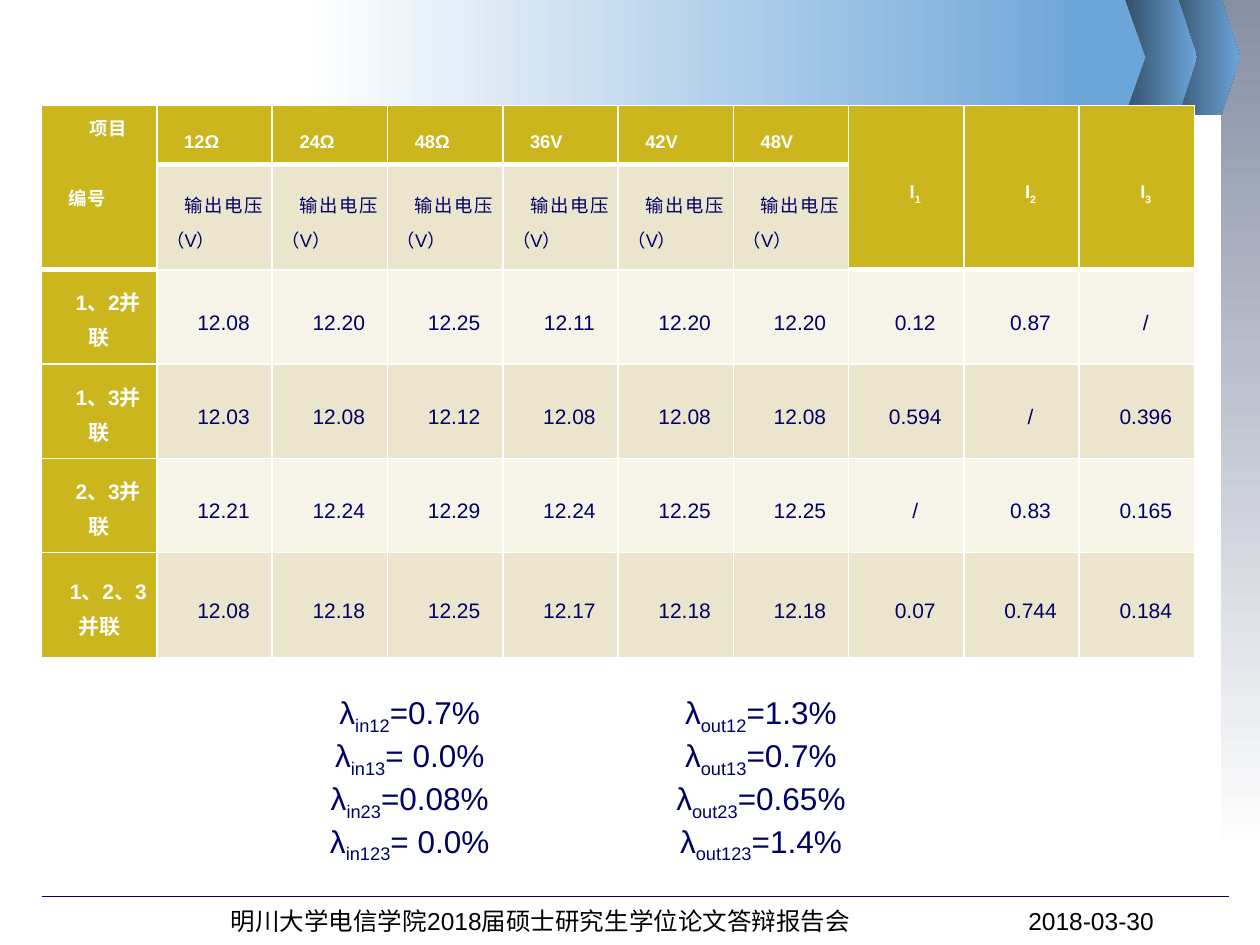
"""Build the slide with parallel supply test results."""
from lxml.etree import SubElement
from pptx import Presentation
from pptx.dml.color import RGBColor
from pptx.enum.shapes import MSO_CONNECTOR, MSO_SHAPE
from pptx.enum.text import MSO_ANCHOR, PP_ALIGN
from pptx.oxml.ns import qn
from pptx.util import Cm, Pt

HUES = {"navy": "000066", "black": "000000", "white": "FFFFFF", "gold": "CBB61D",
        "sand": "ECE5CD", "cream": "F6F3E8", "sky": "6CA5D8", "deep": "324C64",
        "slate": "878FA5"}
LOADS = ["12Ω", "24Ω", "48Ω", "36V", "42V", "48V"]
TESTS = [
    ("1、2并联", "12.08 12.20 12.25 12.11 12.20 12.20 0.12 0.87 /"),
    ("1、3并联", "12.03 12.08 12.12 12.08 12.08 12.08 0.594 / 0.396"),
    ("2、3并联", "12.21 12.24 12.29 12.24 12.25 12.25 / 0.83 0.165"),
    ("1、2、3并联", "12.08 12.18 12.25 12.17 12.18 12.18 0.07 0.744 0.184"),
]
RATES = [("12", "=0.7%", "=1.3%"), ("13", "= 0.0%", "=0.7%"),
         ("23", "=0.08%", "=0.65%"), ("123", "= 0.0%", "=1.4%")]


def hue(name):
    """Return the named colour."""
    return RGBColor.from_string(HUES[name])


def style(para, size, tint, bold=False):
    """Format every run of a paragraph."""
    for run in para.runs:
        font = run.font
        font.name, font.size, font.bold = "Arial", Pt(size), bold
        font.color.rgb = hue(tint)


def add_runs(para, parts):
    """Add runs, with every second one as a subscript."""
    for i, part in enumerate(parts):
        run = para.add_run()
        run.text = part
        if i % 2:
            run._r.get_or_add_rPr().set("baseline", "-25000")


def set_tabs(para, stops):
    """Add tab stops given as pairs of place and kind."""
    tabs = SubElement(para._p.get_or_add_pPr(), qn("a:tabLst"))
    for pos, kind in stops:
        SubElement(tabs, qn("a:tab"), pos=str(Cm(pos)), algn=kind)


def add_block(slide, kind, box, tints, angle=0):
    """Add a shape filled with one colour or a gradient."""
    shape = slide.shapes.add_shape(kind, *map(Cm, box))
    shape.shadow.inherit = False
    shape.line.fill.background()
    if kind == MSO_SHAPE.PENTAGON:
        shape.adjustments[0] = 0.25
    if len(tints) == 1:
        shape.fill.solid()
        shape.fill.fore_color.rgb = hue(tints[0])
        return
    shape.fill.gradient()
    shape.fill.gradient_angle = angle
    for stop, tint in zip(shape.fill.gradient_stops, tints):
        stop.color.rgb = hue(tint)


def add_banner(slide, left, top, width, height):
    """Draw the top band with its arrow tips."""
    tip = MSO_SHAPE.PENTAGON
    for kind, dx, wide, tints in [
        (tip, width - 1.5, 1.5, ("deep", "sky")),
        (tip, width - 2.37, 1.5, ("deep", "sky")),
        (MSO_SHAPE.RECTANGLE, 0, 16.03, ("white", "sky")),
        (tip, 15.36, 1.63, ("sky",)),
    ]:
        add_block(slide, kind, (left + dx, top, wide, height), tints)


def add_edges(cell, base):
    """Draw white cell borders with the given base width."""
    props = cell._tc.get_or_add_tcPr()
    for side, width in zip("LRTB", (1, 1, 1, base)):
        line = SubElement(props, qn(f"a:ln{side}"), w=str(Pt(width)))
        fill = SubElement(line, qn("a:solidFill"))
        SubElement(fill, qn("a:srgbClr"), val=HUES["white"])


def dress(cell, tint, base=1):
    """Set borders, fill, margins and anchor of a cell."""
    add_edges(cell, base)
    cell.fill.solid()
    cell.fill.fore_color.rgb = hue(tint)
    cell.margin_left = cell.margin_right = Cm(0.19)
    cell.margin_top = cell.margin_bottom = 0
    cell.vertical_anchor = MSO_ANCHOR.MIDDLE


def lay(para, align, size, head):
    """Set the layout and font of a cell paragraph."""
    para.alignment = align
    para.line_spacing = Pt(20)
    para._p.get_or_add_pPr().set("indent", str(Cm(0.36)))
    style(para, size, "white" if head else "navy", head)


def put(cell, text, align=PP_ALIGN.CENTER, size=12, head=False):
    """Write text into a cell."""
    cell.text_frame.text = text
    for para in cell.text_frame.paragraphs:
        lay(para, align, size, head)


def add_head(grid):
    """Fill the two header rows."""
    for col in range(10):
        dress(grid.cell(0, col), "gold", 3)
        load = 0 < col < 7
        dress(grid.cell(1, col), "sand" if load else "gold", 1 if load else 3)
        if not load:
            grid.cell(0, col).merge(grid.cell(1, col))
    first = grid.cell(0, 0)
    put(first, "项目\n编号", size=10.5, head=True)
    first.vertical_anchor = MSO_ANCHOR.TOP
    last = first.text_frame.paragraphs[1]
    last.alignment, last.space_before = PP_ALIGN.JUSTIFY, Pt(20)
    for col, load in enumerate(LOADS, 1):
        put(grid.cell(0, col), load, PP_ALIGN.JUSTIFY, 10.5, True)
        put(grid.cell(1, col), "输出电压（V）", PP_ALIGN.JUSTIFY, 10.5)
    for num in (1, 2, 3):
        para = grid.cell(0, 6 + num).text_frame.paragraphs[0]
        add_runs(para, ["I", str(num)])
        lay(para, PP_ALIGN.CENTER, 10.5, True)


def add_grid(slide, *box):
    """Add the table of measured values."""
    grid = slide.shapes.add_table(6, 10, *map(Cm, box)).table
    for col in grid.columns:
        col.width = Cm(box[2] / 10)
    for row, high in zip(grid.rows, [1.19, 1.88] + [1.9] * 4):
        row.height = Cm(high)
    add_head(grid)
    for row, (name, data) in enumerate(TESTS, 2):
        for col, text in enumerate([name] + data.split()):
            cell = grid.cell(row, col)
            band = "sand" if row % 2 else "cream"
            dress(cell, band if col else "gold")
            put(cell, text, head=col == 0)


def add_rates(slide, *box):
    """Add the two columns of rates."""
    frame = slide.shapes.add_textbox(*map(Cm, box)).text_frame
    frame.word_wrap = True
    for i, (pair, inner, outer) in enumerate(RATES):
        para = frame.add_paragraph() if i else frame.paragraphs[0]
        add_runs(para, ["\tλ", "in" + pair, inner + "\tλ", "out" + pair, outer])
        para.alignment = PP_ALIGN.LEFT
        set_tabs(para, [(2.5, "ctr"), (9.58, "ctr")])
        style(para, 18, "navy")


def add_foot(slide, left, top, width, height):
    """Add the rule and the footer text."""
    rule = slide.shapes.add_connector(
        MSO_CONNECTOR.STRAIGHT, Cm(left), Cm(top), Cm(left + width), Cm(top))
    rule.line.color.rgb, rule.line.width = hue("navy"), Pt(0.75)
    SubElement(rule._element.spPr, qn("a:effectLst"))
    frame = slide.shapes.add_textbox(
        Cm(left + 3.17), Cm(top + 0.06), Cm(19.91), Cm(height)).text_frame
    frame.word_wrap, frame.margin_left = True, Cm(0.64)
    frame.text = "明川大学电信学院2018届硕士研究生学位论文答辩报告会\t2018-03-30"
    para = frame.paragraphs[0]
    set_tabs(para, [(16.08, "l")])
    style(para, 14, "black")


def main():
    """Build and save the deck."""
    deck = Presentation()
    deck.slide_width, deck.slide_height = Cm(25.4), Cm(19.05)
    slide = deck.slides.add_slide(deck.slide_layouts[6])
    add_block(slide, MSO_SHAPE.RECTANGLE, (24.61, 0, 0.79, 17.2),
              ("slate", "white"), 270)
    add_banner(slide, 6.1, 0, 18.9, 2.31)
    add_foot(slide, 0.84, 18.08, 23.93, 0.86)
    add_grid(slide, 0.84, 2.13, 23.24, 10.67)
    add_rates(slide, 5.51, 13.84, 12.7, 3.33)
    deck.save("out.pptx")


if __name__ == "__main__":
    main()
